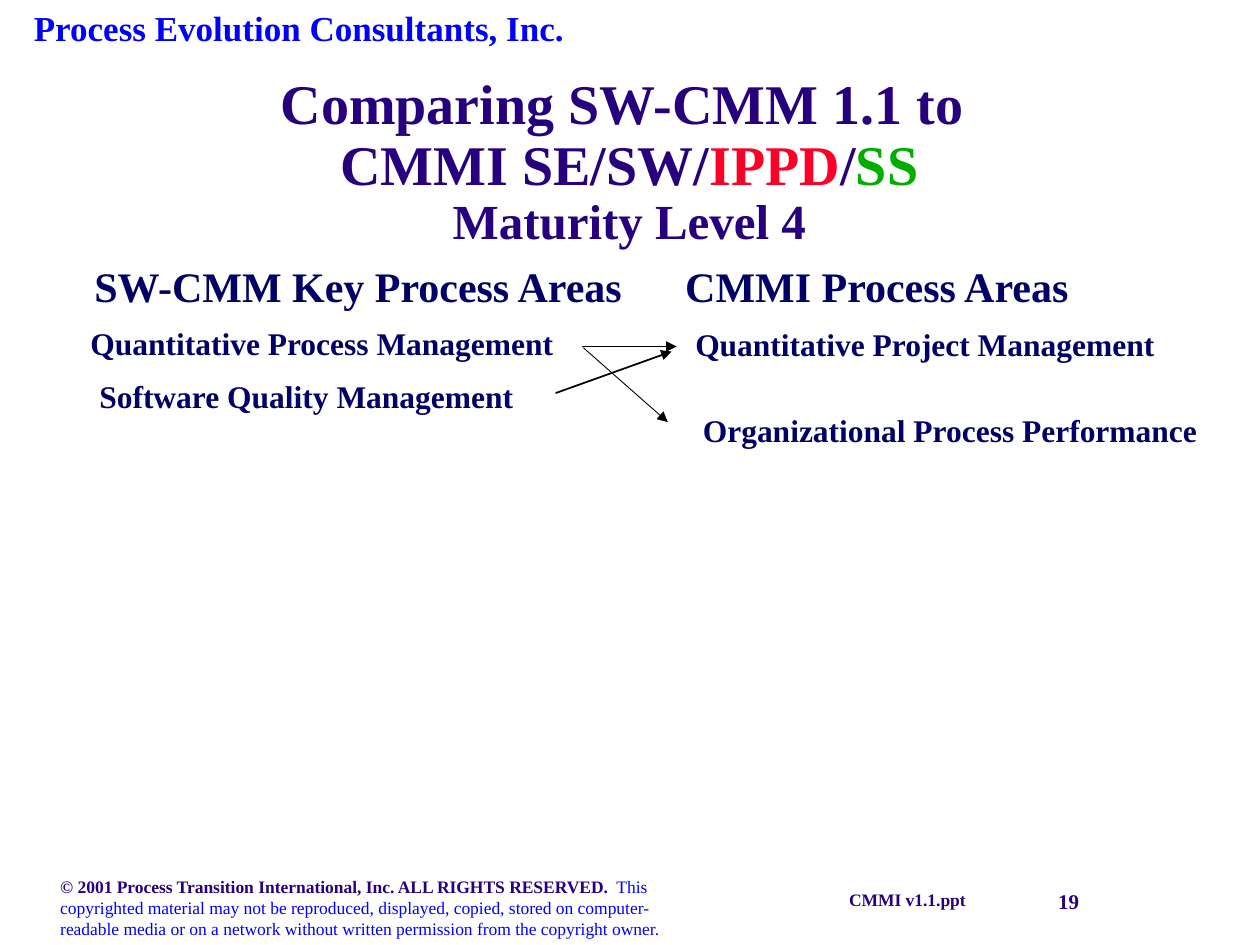
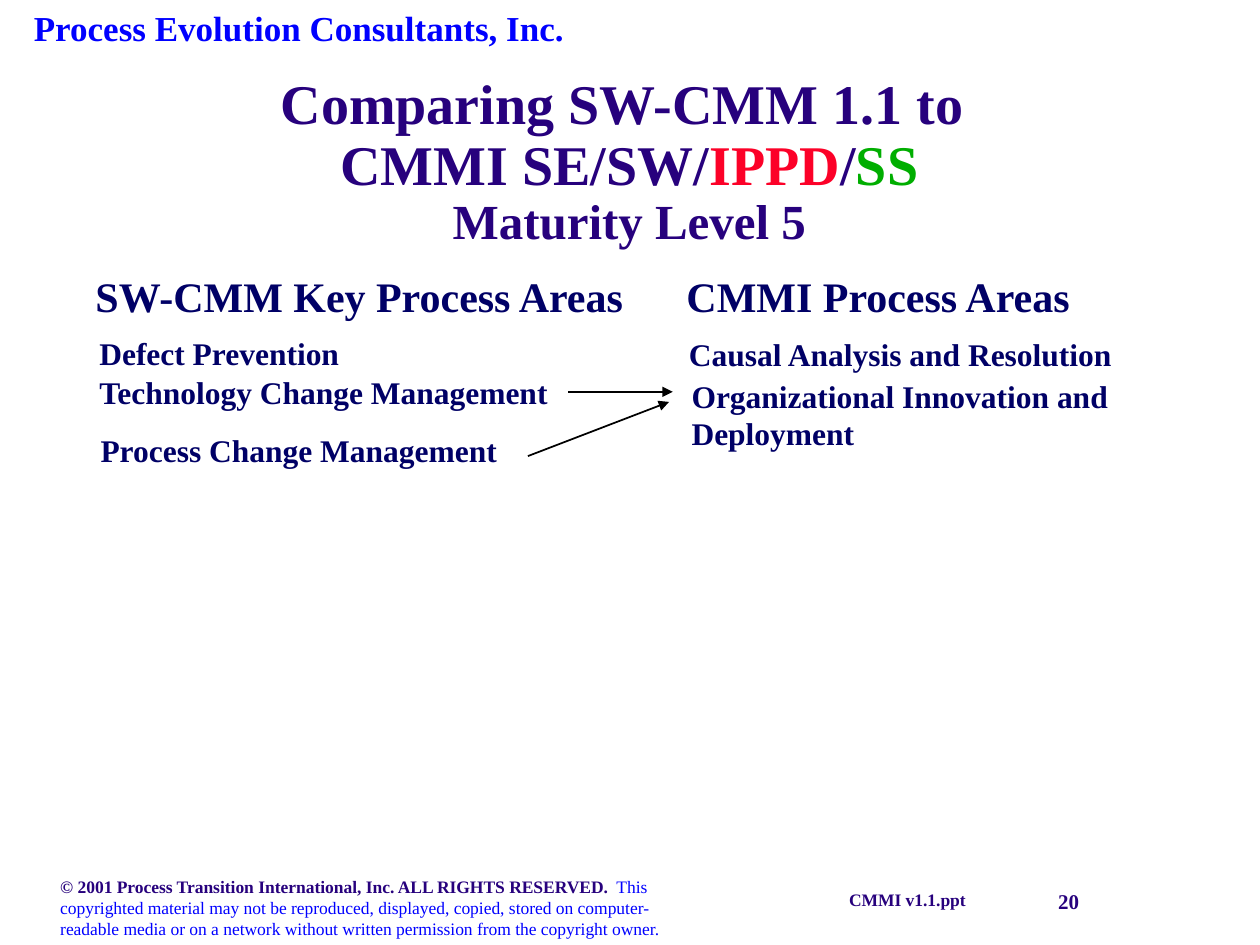
from lxml import etree
from pptx import Presentation
from pptx.dml.color import RGBColor
from pptx.enum.shapes import MSO_CONNECTOR
from pptx.enum.text import MSO_ANCHOR, PP_ALIGN
from pptx.oxml.ns import qn
from pptx.util import Inches, Pt

FONT = "Times New Roman"
COLORS = {
    "title": "27017D",
    "body": "000066",
    "blue": "0000FF",
    "red": "FC0128",
    "green": "00AE00",
    "arrow": "000000",
}

COMPANY = "Process Evolution Consultants, Inc."
RIGHTS = "© 2001 Process Transition International, Inc. ALL RIGHTS RESERVED.  "
TERMS = ("This copyrighted material may not be reproduced, displayed, copied, "
         "stored on computer-readable media or on a network without written "
         "permission from the copyright owner.")
FILE_LABEL = "CMMI v1.1.ppt"
TITLE_LINES = [
    [("Comparing SW-CMM 1.1 to ", {})],
    [("CMMI SE/SW/", {}), ("IPPD", {"color": "red"}), ("/", {}), ("SS", {"color": "green"})],
]
HEADINGS = [("SW-CMM Key Process Areas", 0, 4.6), ("CMMI Process Areas", 4.69, 3.5)]

SLIDES = [
    {
        "number": 19,
        "level": 4,
        "heading_at": (0.65, 2.02),
        "areas": [
            ("Quantitative Process Management", 0.62, 2.52, 4),
            ("Software Quality Management", 0.69, 2.94, 3.6),
            ("Quantitative Project Management", 5.42, 2.53, 4),
            ("Organizational Process Performance", 5.48, 3.21, 4.25),
        ],
        "arrows": [
            ((4.62, 2.75), (5.37, 2.75), 1),
            ((4.63, 2.76), (5.3, 3.35), 0.5),
            ((4.41, 3.12), (5.33, 2.79), 1),
        ],
    },
    {
        "number": 20,
        "level": 5,
        "heading_at": (0.66, 2.1),
        "areas": [
            ("Defect Prevention", 0.69, 2.6, 2.25),
            ("Technology Change Management", 0.69, 2.91, 3.9),
            ("Process Change Management", 0.7, 3.37, 3.5),
            ("Causal Analysis and Resolution", 5.37, 2.61, 3.7),
            ("Organizational Innovation and\nDeployment", 5.39, 2.94, 3.75),
        ],
        "arrows": [
            ((4.51, 3.11), (5.34, 3.11), 1),
            ((4.19, 3.62), (5.31, 3.19), 1),
        ],
    },
]


def add_text(slide, text, left, top, width, height, size=18, color="body", bold=True,
             wrap=False, align=PP_ALIGN.LEFT, anchor=MSO_ANCHOR.TOP, spacing=None):
    sp = slide.shapes.add_textbox(*map(Inches, (left, top, width, height)))
    tf = sp.text_frame
    tf.word_wrap = wrap
    tf.vertical_anchor = anchor
    lines = [[(line, {})] for line in text.split("\n")] if isinstance(text, str) else text
    for i, line in enumerate(lines):
        p = tf.paragraphs[0] if i == 0 else tf.add_paragraph()
        p.alignment = align
        p.line_spacing = spacing
        for part, style in line:
            r = p.add_run()
            r.text = part
            r.font.name = FONT
            r.font.size = Pt(style.get("size", size))
            r.font.bold = style.get("bold", bold)
            r.font.color.rgb = RGBColor.from_string(COLORS[style.get("color", color)])


def add_arrow(slide, start, end, weight):
    cx = slide.shapes.add_connector(MSO_CONNECTOR.STRAIGHT, *map(Inches, start + end))
    cx.line.color.rgb = RGBColor.from_string(COLORS["arrow"])
    cx.line.width = Pt(weight)
    props = cx._element.spPr
    etree.SubElement(props.find(qn("a:ln")), qn("a:tailEnd"), type="triangle")
    etree.SubElement(props, qn("a:effectLst"))


def add_frame(slide, number, level):
    add_text(slide, COMPANY, 0.17, 0, 4.75, 0.43, size=20, color="blue", wrap=True)
    add_text(slide, str(number), 8.3, 7, 0.95, 0.3, size=12, color="title")
    add_text(slide, [[(RIGHTS, {}), (TERMS, {"color": "blue", "bold": False})]],
             0.38, 6.9, 5, 0.6, size=10, color="title", wrap=True)
    add_text(slide, FILE_LABEL, 6.64, 7.01, 1.3, 0.26, size=10, color="title")
    level_line = [(f"Maturity Level {level}", {"size": 28})]
    add_text(slide, TITLE_LINES + [level_line], 1.08, 0.67, 7.83, 1.25, size=32, color="title",
             wrap=True, align=PP_ALIGN.CENTER, anchor=MSO_ANCHOR.MIDDLE, spacing=0.9)


def add_comparison(slide, heading_at, areas, arrows):
    left, top = heading_at
    for text, offset, width in HEADINGS:
        add_text(slide, text, left + offset, top, width, 0.5, size=24)
    for text, x, y, width in areas:
        add_text(slide, text, x, y, width, 0.4 + 0.3 * text.count("\n"))
    for start, end, weight in arrows:
        add_arrow(slide, start, end, weight)


def main():
    prs = Presentation()
    prs.slide_width, prs.slide_height = Inches(10), Inches(7.5)
    for data in SLIDES:
        slide = prs.slides.add_slide(prs.slide_layouts[6])
        add_frame(slide, data["number"], data["level"])
        add_comparison(slide, data["heading_at"], data["areas"], data["arrows"])
    prs.save("out.pptx")


if __name__ == "__main__":
    main()
